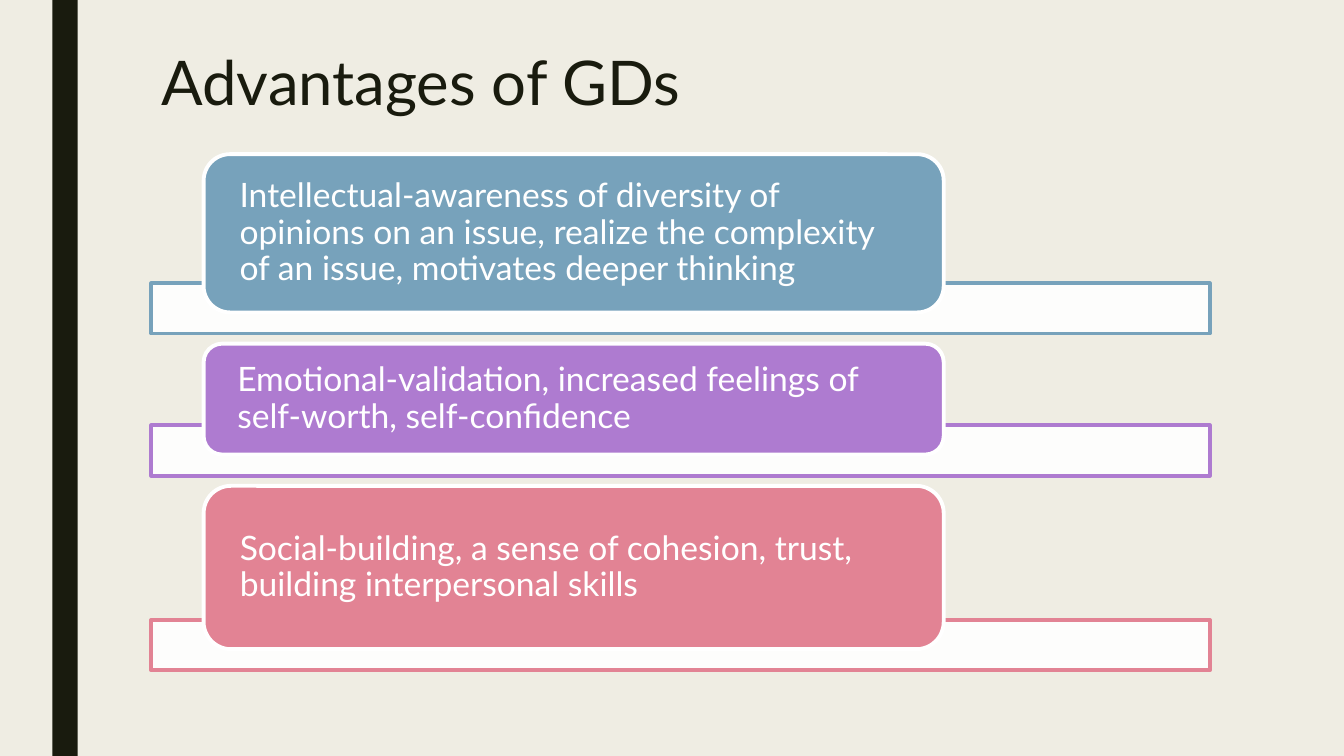
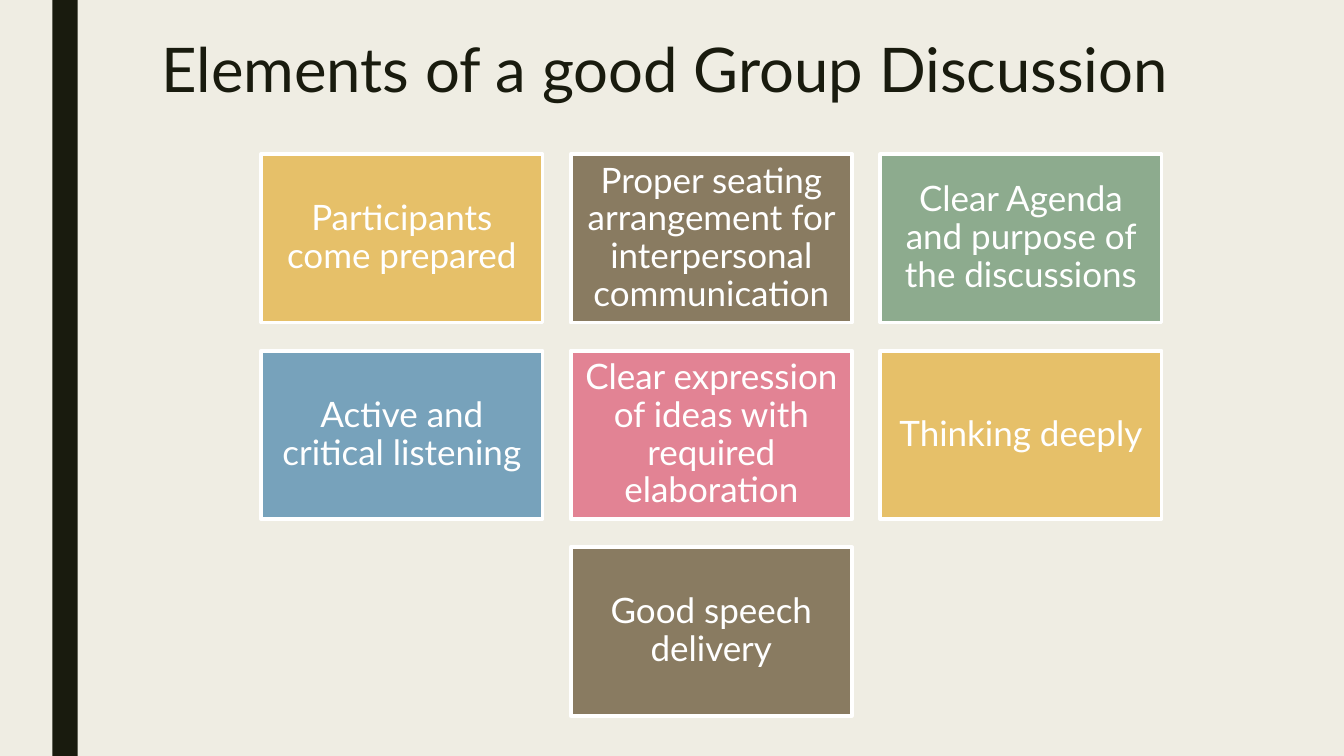
"""Build two slides about group discussions."""
import itertools
from dataclasses import dataclass

import pptx
import pptx.dml.color
import pptx.enum.shapes
import pptx.enum.text
import pptx.oxml.ns
import pptx.shapes.autoshape
import pptx.slide
import pptx.text.text
import pptx.util
from lxml import etree

Inches, Pt = pptx.util.Inches, pptx.util.Pt
SHAPE = pptx.enum.shapes.MSO_SHAPE
ANCHOR = pptx.enum.text.MSO_ANCHOR
ALIGN = pptx.enum.text.PP_ALIGN

FONT = "Lato"
COLORS = {
    "paper": "EFEDE3", "ink": "191B0E", "white": "FFFFFF",
    "gold": "E6C069", "brown": "897B61", "green": "8DAB8E",
    "blue": "77A2BB", "pink": "E28394", "purple": "AE7BD0",
}
CONTENT_LEFT, CONTENT_TOP, CONTENT_WIDTH = 1.5, 1.53, 10.5


@dataclass
class Box:
    """Place and size of a shape, in inches."""
    left: float
    top: float
    width: float
    height: float


@dataclass
class Advantage:
    """One coloured label on its bar."""
    text: str
    color: str
    height: float


ADVANTAGES = [
    Advantage("Intellectual-awareness of diversity of opinions on an issue, "
              "realize the complexity of an issue, motivates deeper thinking",
              "blue", 1.57),
    Advantage("Emotional-validation, increased feelings of self-worth, "
              "self-confidence", "purple", 1.1),
    Advantage("Social-building, a sense of cohesion, trust, building "
              "interpersonal skills", "pink", 1.62),
]
ELEMENTS = [
    "Participants come prepared",
    "Proper seating arrangement for interpersonal communication",
    "Clear Agenda and purpose of the discussions",
    "Active and critical listening",
    "Clear expression of ideas with required elaboration",
    "Thinking deeply",
    "Good speech delivery",
]
TILE_COLORS = ["gold", "brown", "green", "blue", "pink"]


def rgb(name: str) -> pptx.dml.color.RGBColor:
    """Return a named colour."""
    return pptx.dml.color.RGBColor.from_string(COLORS[name])


def write(tf: pptx.text.text.TextFrame, text: str, size: float, color: str,
          align: ALIGN, anchor: ANCHOR, margins: tuple[float, float],
          spacing: float = 0.9) -> None:
    """Put one styled paragraph in a frame; margins are side, then top."""
    side, top = margins
    tf.word_wrap = True
    tf.auto_size = pptx.enum.text.MSO_AUTO_SIZE.NONE
    tf.vertical_anchor = anchor
    tf.margin_left = tf.margin_right = Inches(side)
    tf.margin_top = tf.margin_bottom = Inches(top)
    p = tf.paragraphs[0]
    p.alignment, p.line_spacing = align, spacing
    r = p.add_run()
    r.text = text
    r.font.name, r.font.size = FONT, Pt(size)
    r.font.color.rgb = rgb(color)


def add_box(s: pptx.slide.Slide, kind: SHAPE, box: Box, fill: str,
            line: str | None = None) -> pptx.shapes.autoshape.Shape:
    """Draw a flat filled shape, outlined if a line colour is given."""
    sp = s.shapes.add_shape(kind, Inches(box.left), Inches(box.top),
                            Inches(box.width), Inches(box.height))
    sp.shadow.inherit = False
    sp.fill.solid()
    sp.fill.fore_color.rgb = rgb(fill)
    if line:
        sp.line.color.rgb = rgb(line)
        sp.line.width = Pt(2.75)
    else:
        sp.line.fill.background()
    return sp


def set_opacity(sp: pptx.shapes.autoshape.Shape, percent: int) -> None:
    """Make the solid fill of a shape partly transparent."""
    qn = pptx.oxml.ns.qn
    color = sp.element.spPr.find(qn("a:solidFill")).find(qn("a:srgbClr"))
    etree.SubElement(color, qn("a:alpha"), val=str(percent * 1000))


def add_slide(prs: pptx.presentation.Presentation, title: str, top: float,
              height: float) -> pptx.slide.Slide:
    """Add a title-only slide and style its title."""
    s = prs.slides.add_slide(prs.slide_layouts[5])
    sp = s.shapes.title
    sp.left, sp.top = Inches(CONTENT_LEFT), Inches(top)
    sp.width, sp.height = Inches(CONTENT_WIDTH), Inches(height)
    write(sp.text_frame, title, 44, "ink", ALIGN.LEFT, ANCHOR.TOP,
          (0.1, 0.05), spacing=0.89)
    return s


def style_master(prs: pptx.presentation.Presentation,
                 s: pptx.slide.Slide) -> None:
    """Give the master its background and move a band from s onto it."""
    master = prs.slide_master
    master.background.fill.solid()
    master.background.fill.fore_color.rgb = rgb("paper")
    band = add_box(s, SHAPE.RECTANGLE, Box(0.52, 0, 0.25, 7.5), "ink")
    master.shapes.element.insert(2, band.element)


def draw_advantages(s: pptx.slide.Slide) -> None:
    """Stack the labels, each overlapping the bar behind it."""
    bar_height, overlap, gap = 0.5, 0.29, 0.1
    top = CONTENT_TOP
    for item in ADVANTAGES:
        bar_top = top + item.height - overlap
        bar = add_box(s, SHAPE.RECTANGLE,
                      Box(CONTENT_LEFT, bar_top, CONTENT_WIDTH, bar_height),
                      "white", item.color)
        set_opacity(bar, 90)
        label = add_box(s, SHAPE.ROUNDED_RECTANGLE,
                        Box(2.02, top, 7.34, item.height),
                        item.color, "white")
        write(label.text_frame, item.text, 24, "white", ALIGN.LEFT,
              ANCHOR.MIDDLE, (0.28, 0))
        top = bar_top + bar_height + gap


def draw_elements(s: pptx.slide.Slide) -> None:
    """Lay the tiles out in centred rows of three."""
    columns, width, height, gap = 3, 2.79, 1.67, 0.28
    center = 7.055
    colors = itertools.cycle(TILE_COLORS)
    for start in range(0, len(ELEMENTS), columns):
        row = ELEMENTS[start:start + columns]
        left = center - (len(row) * (width + gap) - gap) / 2
        top = CONTENT_TOP + start // columns * (height + gap)
        for column, text in enumerate(row):
            tile = add_box(s, SHAPE.RECTANGLE,
                           Box(left + column * (width + gap), top,
                               width, height), next(colors), "white")
            write(tile.text_frame, text, 25, "white", ALIGN.CENTER,
                  ANCHOR.MIDDLE, (0.1, 0.1))


def main() -> None:
    """Build and save the presentation."""
    prs = pptx.Presentation()
    prs.slide_width, prs.slide_height = Inches(13.33), Inches(7.5)
    s = add_slide(prs, "Advantages of GDs", 0.47, 0.83)
    style_master(prs, s)
    draw_advantages(s)
    s = add_slide(prs, "Elements of a good Group Discussion", 0.35, 0.79)
    draw_elements(s)
    prs.save("out.pptx")


main()
